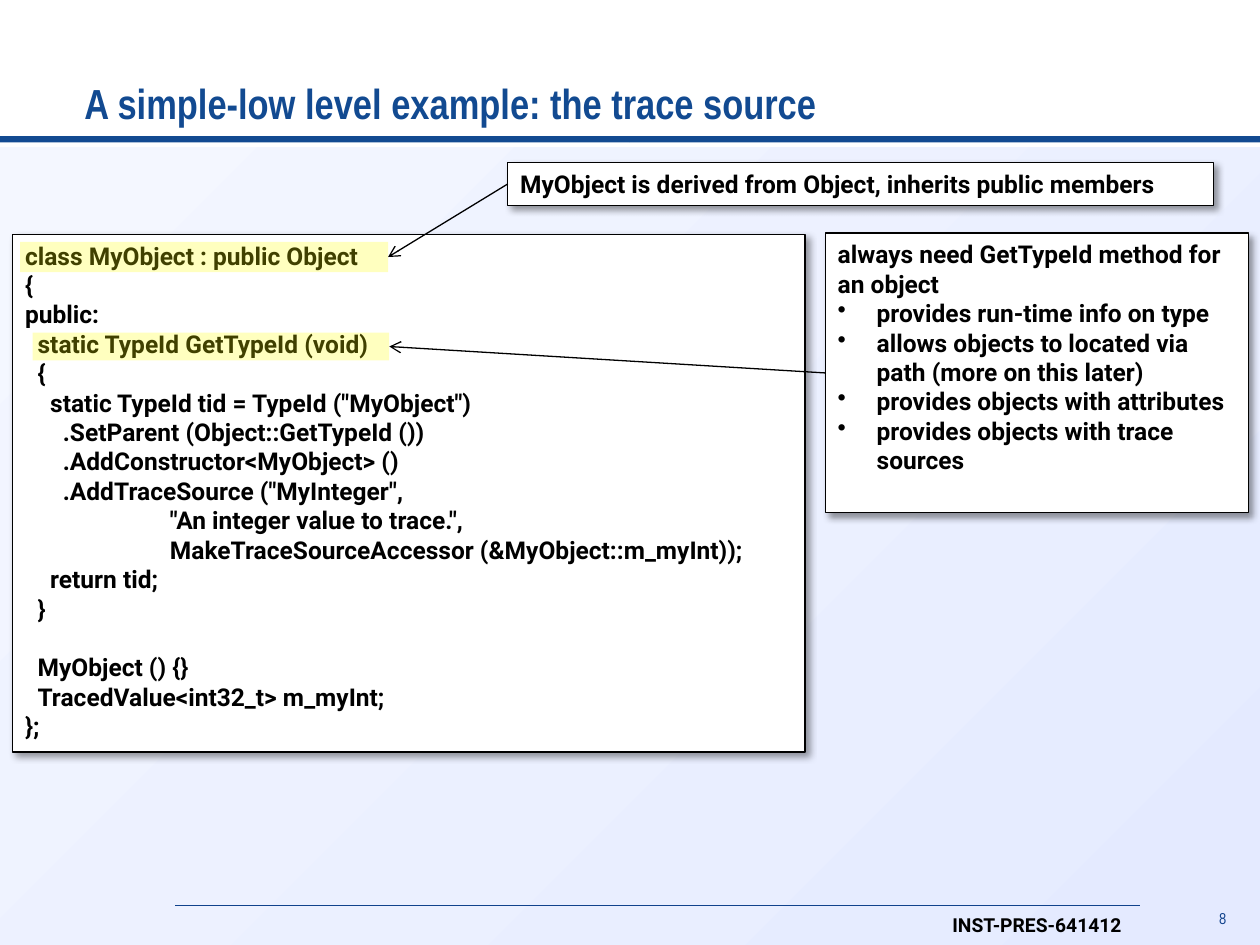
import pptx
import pptx.dml.color
import pptx.enum.shapes
import pptx.enum.text
import pptx.oxml
import pptx.oxml.ns
import pptx.util

COLUMNS, ROWS = 100, 75
BLUE, THIN_BLUE, BLACK, WHITE, YELLOW = "124A91", "10428C", "000000", "FFFFFF", "FFFF00"
RECTANGLE = pptx.enum.shapes.MSO_SHAPE.RECTANGLE
TOP, BOTTOM = pptx.enum.text.MSO_ANCHOR.TOP, pptx.enum.text.MSO_ANCHOR.BOTTOM
LEFT, RIGHT = pptx.enum.text.PP_ALIGN.LEFT, pptx.enum.text.PP_ALIGN.RIGHT
LEFT_SIDE, RIGHT_SIDE = 1, 3
SPACE_WIDTH = 0.05
BULLET_INDENT = 0.31
CODE_LINE = pptx.util.Pt(16.8)

BODY = {"name": "Roboto", "size": pptx.util.Pt(14), "bold": True}
FOOTER = BODY | {"size": pptx.util.Pt(11)}
TITLE = {"name": "Arial Narrow", "size": pptx.util.Pt(24), "bold": True}
NUMBER = {"name": "Arial Narrow", "size": pptx.util.Pt(9), "bold": False}

CODE = [
    (0, "class MyObject : public Object"),
    (0, "{"),
    (0, "public:"),
    (2, "static TypeId GetTypeId (void)"),
    (2, "{"),
    (4, 'static TypeId tid = TypeId ("MyObject")'),
    (6, ".SetParent (Object::GetTypeId ())"),
    (6, ".AddConstructor<MyObject> ()"),
    (6, '.AddTraceSource ("MyInteger",'),
    (23, '"An integer value to trace.",'),
    (23, "MakeTraceSourceAccessor (&MyObject::m_myInt));"),
    (4, "return tid;"),
    (2, "}"),
    (2, "MyObject () {}"),
    (2, "TracedValue<int32_t> m_myInt;"),
    (0, "};"),
]
CONSTRUCTOR_LINE = 13
NOTES = [
    "provides run-time info on type",
    "allows objects to located via path (more on this later)",
    "provides objects with attributes",
    "provides objects with trace sources",
]


def color(value):
    return pptx.dml.color.RGBColor.from_string(value)


def add_xml(parent, markup):
    namespace = pptx.oxml.ns.nsdecls("a")
    parent.append(pptx.oxml.parse_xml(f"<a:root {namespace}>{markup}</a:root>")[0])


def apply(target, values):
    for name, value in values.items():
        setattr(target, name, value)


class SlideBuilder:
    """Draws styled elements on one slide, measured in grid columns and rows."""

    def __init__(self, presentation):
        self.column = presentation.slide_width / COLUMNS
        self.row = presentation.slide_height / ROWS
        self.slide = presentation.slides.add_slide(presentation.slide_layouts[6])

    def place(self, left, top, width, height):
        return (round(left * self.column), round(top * self.row),
                round(width * self.column), round(height * self.row))

    def rectangle(self, area, fill, alpha=None):
        shape = self.slide.shapes.add_shape(RECTANGLE, *self.place(*area))
        shape.shadow.inherit = False
        shape.line.fill.background()
        shape.fill.solid()
        shape.fill.fore_color.rgb = color(fill)
        if alpha:
            value = shape._element.spPr.find(".//" + pptx.oxml.ns.qn("a:srgbClr"))
            add_xml(value, f'<a:alpha val="{alpha * 1000}"/>')
        return shape

    def gradient(self, area, colors, angle):
        shape = self.rectangle(area, WHITE)
        shape.fill.gradient()
        shape.fill.gradient_angle = angle
        for position, (stop, value) in enumerate(zip(shape.fill.gradient_stops, colors)):
            stop.position = position
            stop.color.rgb = color(value)

    def card(self, area, paragraphs):
        shape = self.rectangle(area, WHITE)
        shape.line.color.rgb = color(BLACK)
        shape.line.width = pptx.util.Pt(0.75)
        effects = shape._element.spPr.find(pptx.oxml.ns.qn("a:effectLst"))
        add_xml(effects, '<a:outerShdw blurRad="50800" dist="38100" dir="2700000" algn="tl" '
                         'rotWithShape="0"><a:srgbClr val="000000"><a:alpha val="40000"/>'
                         '</a:srgbClr></a:outerShdw>')
        self.set_text(shape, paragraphs, BODY, BLACK)
        return shape

    def text(self, area, words, font, ink, anchor=TOP, left_margin=0.1, **options):
        shape = self.slide.shapes.add_textbox(*self.place(*area))
        self.set_text(shape, [(words, options)], font, ink, anchor, left_margin)

    def set_text(self, shape, paragraphs, font, ink, anchor=TOP, left_margin=0.1):
        frame = shape.text_frame
        apply(frame, {"word_wrap": True, "vertical_anchor": anchor,
                      "margin_left": pptx.util.Inches(left_margin)})
        for index, (words, options) in enumerate(paragraphs):
            paragraph = frame.add_paragraph() if index else frame.paragraphs[0]
            options = {"alignment": LEFT} | options
            indent, bullet = options.pop("indent", 0), options.pop("bullet", None)
            apply(paragraph, options)
            properties = paragraph._p.get_or_add_pPr()
            properties.set("marL", str(pptx.util.Inches(indent)))
            if bullet:
                properties.set("indent", str(-pptx.util.Inches(indent)))
                add_xml(properties, f'<a:buChar char="{bullet}"/>')
            run = paragraph.add_run()
            run.text = words
            apply(run.font, font)
            run.font.color.rgb = color(ink)

    def line(self, start, end, ink, width):
        points = [round(value * unit) for point in (start, end)
                  for value, unit in zip(point, (self.column, self.row))]
        connector = self.slide.shapes.add_connector(
            pptx.enum.shapes.MSO_CONNECTOR.STRAIGHT, *points)
        connector.line.color.rgb = color(ink)
        connector.line.width = pptx.util.Pt(width)
        add_xml(connector._element.spPr, "<a:effectLst/>")
        return connector

    def arrow(self, source, target):
        connector = self.line((0, 0), (1, 1), BLACK, 0.75)
        connector.begin_connect(source, LEFT_SIDE)
        connector.end_connect(target, RIGHT_SIDE)
        outline = connector._element.spPr.find(pptx.oxml.ns.qn("a:ln"))
        add_xml(outline, '<a:tailEnd type="arrow"/>')


def main():
    presentation = pptx.Presentation()
    presentation.slide_width = pptx.util.Inches(10)
    presentation.slide_height = pptx.util.Inches(7.5)
    builder = SlideBuilder(presentation)

    builder.gradient((0, 11.7, COLUMNS, 63.3), ("F4F7FF", "E4EAFF"), 315)
    for left in (0, COLUMNS / 2):
        builder.rectangle((left, 10.8, COLUMNS / 2, 0.5), BLUE)
    builder.line((13.9, 71.9), (90.5, 71.9), THIN_BLUE, 0.5)
    builder.text((94.9, 72, 3.4, 2.2), "8", NUMBER, THIN_BLUE, left_margin=0,
                 alignment=RIGHT, line_spacing=0.75)
    builder.text((74.6, 72, 16.3, 2.9), "INST-PRES-641412", FOOTER, BLACK)
    builder.text((6.7, 1.7, 86.9, 8.9), "A simple-low level example: the trace source",
                 TITLE, BLUE, BOTTOM, left_margin=0)

    code = [(words, {"indent": spaces * SPACE_WIDTH}) for spaces, words in CODE]
    code[CONSTRUCTOR_LINE][1]["space_before"] = CODE_LINE
    builder.card((1, 18.6, 62.9, 41.1), code)
    class_highlight = builder.rectangle((1.6, 19.2, 29.2, 2.4), YELLOW, alpha=25)
    method_highlight = builder.rectangle((2.6, 26.4, 28.3, 2.2), YELLOW, alpha=25)

    inheritance = builder.card((40.3, 12.9, 56, 3.4), [
        ("MyObject is derived from Object, inherits public members", {})])
    bullets = [(words, {"indent": BULLET_INDENT, "bullet": "•"}) for words in NOTES]
    type_notes = builder.card((65.5, 18.5, 33.6, 22.2), [
        ("always need GetTypeId method for an object", {}), *bullets])
    builder.arrow(inheritance, class_highlight)
    builder.arrow(type_notes, method_highlight)

    presentation.save("out.pptx")


if __name__ == "__main__":
    main()
